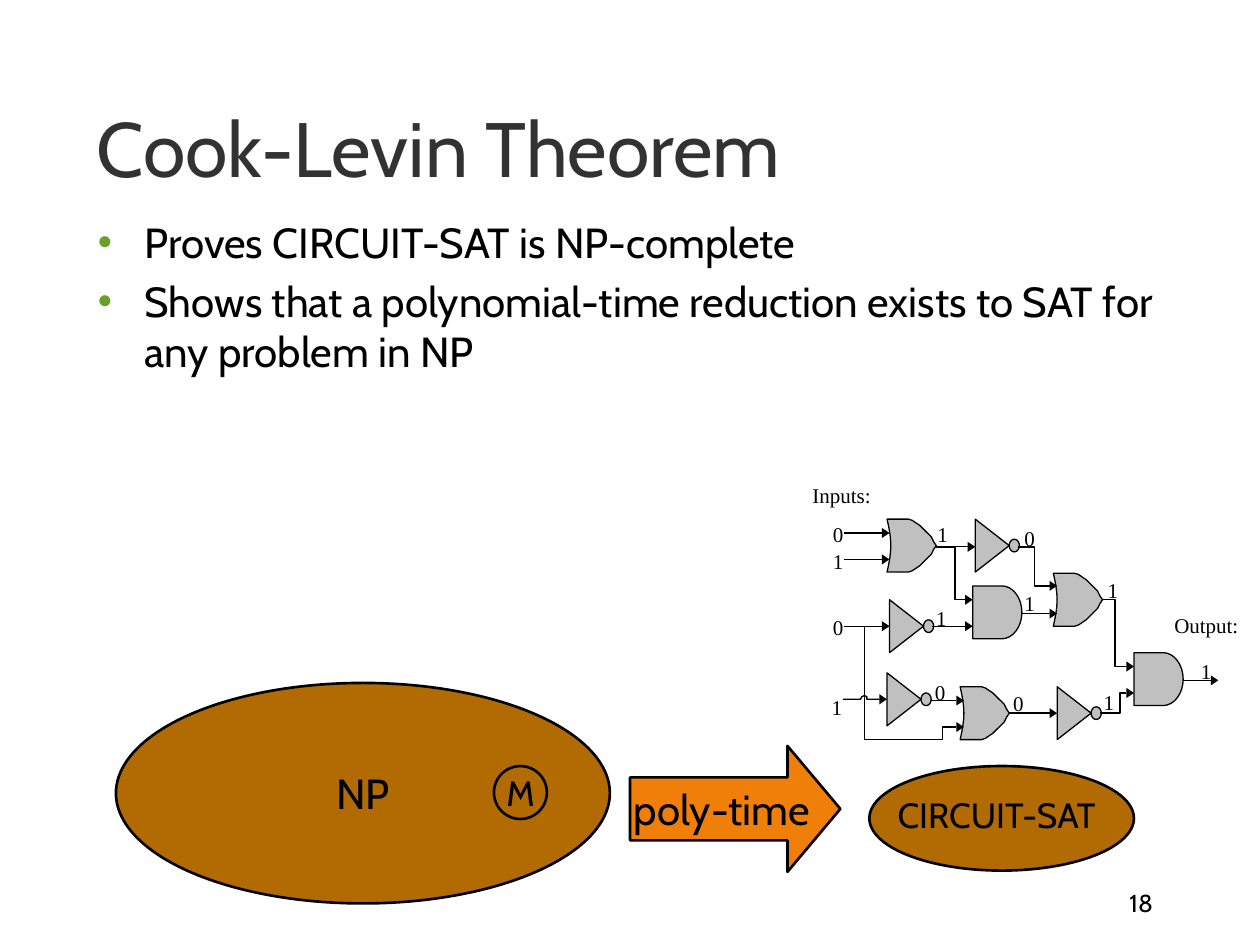
import math

from lxml import etree
from pptx import Presentation
from pptx import util as u
from pptx.dml.color import RGBColor
from pptx.enum import shapes, text
from pptx.oxml import ns

BLACK = RGBColor(0x00, 0x00, 0x00)
WHITE = RGBColor(0xFF, 0xFF, 0xFF)
TITLE_GRAY = RGBColor(0x32, 0x32, 0x32)
GATE_GRAY = RGBColor(0xC0, 0xC0, 0xC0)
BROWN = RGBColor(0xB2, 0x6B, 0x02)
ORANGE = RGBColor(0xF0, 0x7F, 0x09)
BULLET_GREEN = "6B9F25"

GATE_HEIGHT = 0.42
HEAD_LENGTH, HEAD_HALF = 0.06, 0.04
LEFT, CENTER, RIGHT = (text.PP_ALIGN.LEFT, text.PP_ALIGN.CENTER, text.PP_ALIGN.RIGHT)
TOP, MIDDLE, BOTTOM = (text.MSO_ANCHOR.TOP, text.MSO_ANCHOR.MIDDLE, text.MSO_ANCHOR.BOTTOM)

# Gates: left and top of each
OR_GATES = [(7.04, 4.12), (8.36, 4.55), (7.62, 5.45)]
AND_GATES = [(7.72, 4.65), (9, 5.18)]
NOT_GATES = [(7.06, 4.76), (7.74, 4.12), (8.39, 5.45), (7.04, 5.34)]

# Wires: corner points, ending at the tip of the arrowhead
WIRES = [
    [(6.7, 4.23), (7.06, 4.23)],
    [(6.7, 4.44), (7.06, 4.44)],
    [(6.7, 4.97), (7.06, 4.97)],
    [(7.4, 4.97), (7.72, 4.97)],
    [(7.43, 4.34), (7.58, 4.34), (7.58, 4.76), (7.72, 4.76)],
    [(7.58, 4.34), (7.74, 4.34)],
    [(8.11, 4.87), (8.39, 4.87)],
    [(9.39, 5.4), (9.67, 5.4)],
    [(6.86, 4.97), (6.86, 5.87), (7.48, 5.87), (7.48, 5.77), (7.65, 5.77)],
    [(8.08, 4.34), (8.21, 4.34), (8.21, 4.65), (8.39, 4.65)],
    [(8.75, 4.76), (8.85, 4.76), (8.85, 5.29), (9, 5.29)],
    [(8.73, 5.66), (8.89, 5.66), (8.89, 5.5), (9, 5.5)],
    [(8.01, 5.66), (8.39, 5.66)],
    [(7.39, 5.56), (7.65, 5.56)],
    # This one hops over the vertical wire
    [(6.69, 5.55), (6.83, 5.55), (6.84, 5.53), (6.86, 5.52), (6.88, 5.53),
     (6.88, 5.55), (7.04, 5.55)],
]

# Signal values: digit, left, top
SIGNALS = [
    ("0", 6.61, 4.14), ("1", 6.61, 4.35), ("0", 6.61, 4.88), ("1", 6.6, 5.51),
    ("1", 7.44, 4.14), ("1", 7.43, 4.81), ("0", 7.42, 5.39), ("0", 8.13, 4.17),
    ("1", 8.13, 4.69), ("0", 8.04, 5.48), ("1", 8.79, 4.58), ("1", 8.76, 5.47),
    ("1", 9.53, 5.23),
]


def set_format(target, values):
    for name, value in values.items():
        setattr(target, name, value)


def write(shape, words, size, color=BLACK, name="Cabin", align=CENTER,
          anchor=TOP, wrap=False, margin=None):
    frame = shape.text_frame
    set_format(frame, {"word_wrap": wrap, "vertical_anchor": anchor})
    if margin is not None:
        sides = ("left", "right", "top", "bottom")
        set_format(frame, {f"margin_{side}": u.Inches(margin) for side in sides})
    paragraph = frame.paragraphs[0]
    paragraph.alignment = align
    run = paragraph.add_run()
    run.text = words
    set_format(run.font, {"name": name, "size": u.Pt(size)})
    run.font.color.rgb = color


def add_text(slide, box, words, size, wrap=False, **options):
    shape = slide.shapes.add_textbox(*map(u.Inches, box))
    write(shape, words, size, wrap=wrap, **options)
    if not wrap:
        shape.text_frame.auto_size = text.MSO_AUTO_SIZE.SHAPE_TO_FIT_TEXT


def add_bullets(slide, box, items):
    frame = slide.shapes.add_textbox(*map(u.Inches, box)).text_frame
    frame.word_wrap = True
    for index, item in enumerate(items):
        paragraph = frame.add_paragraph() if index else frame.paragraphs[0]
        properties = paragraph._p.get_or_add_pPr()
        properties.set("marL", str(u.Inches(0.38)))
        properties.set("indent", str(u.Inches(-0.38)))
        if index:
            paragraph.space_before = u.Pt(4.8)
        color = etree.SubElement(properties, ns.qn("a:buClr"))
        etree.SubElement(color, ns.qn("a:srgbClr"), val=BULLET_GREEN)
        etree.SubElement(properties, ns.qn("a:buSzPct"), val="110000")
        etree.SubElement(properties, ns.qn("a:buFont"), typeface="Times New Roman")
        etree.SubElement(properties, ns.qn("a:buChar"), char="•")
        run = paragraph.add_run()
        run.text = item
        set_format(run.font, {"name": "Cabin", "size": u.Pt(24)})
        run.font.color.rgb = BLACK


def paint(shape, fill, line_width):
    shape.shadow.inherit = False
    if fill is None:
        shape.fill.background()
    else:
        shape.fill.solid()
        shape.fill.fore_color.rgb = fill
    if line_width:
        shape.line.color.rgb = BLACK
        shape.line.width = u.Pt(line_width)
    else:
        shape.line.fill.background()


def add_preset(slide, kind, box, fill=None):
    shape = slide.shapes.add_shape(kind, *map(u.Inches, box))
    paint(shape, fill, 1.5)
    return shape


def add_outline(slide, points, fill=None, line_width=0.75, close=True):
    points = [(u.Inches(x), u.Inches(y)) for x, y in points]
    builder = slide.shapes.build_freeform(*points[0])
    builder.add_line_segments(points[1:], close=close)
    paint(builder.convert_to_shape(), fill, line_width)


def add_wire(slide, points):
    tip_x, tip_y = points[-1]
    base_x = tip_x - HEAD_LENGTH
    points = points[:-1] + [(base_x, tip_y)]
    if len(points) == 2:
        ends = [u.Inches(value) for point in points for value in point]
        line = slide.shapes.add_connector(shapes.MSO_CONNECTOR.STRAIGHT, *ends)
        line.line.color.rgb = BLACK
        line.line.width = u.Pt(0.75)
        etree.SubElement(line._element.spPr, ns.qn("a:effectLst"))
    else:
        add_outline(slide, points, close=False)
    head = [(base_x, tip_y - HEAD_HALF), (tip_x, tip_y), (base_x, tip_y + HEAD_HALF)]
    add_outline(slide, head, BLACK, line_width=0)


def arc(center_x, radius_x, radius_y, start, end, steps):
    """Points on an ellipse at half gate height, angles in degrees."""
    angles = [math.radians(start + (end - start) * i / steps) for i in range(steps + 1)]
    return [(center_x + radius_x * math.cos(a), GATE_HEIGHT / 2 + radius_y * math.sin(a))
            for a in angles]


def and_outline():
    return [(0, 0)] + arc(0.23, 0.16, GATE_HEIGHT / 2, -90, 90, 16) + [(0, GATE_HEIGHT)]


def or_outline():
    upper = [(0.17, 0), (0.2, 0.01), (0.23, 0.03), (0.26, 0.05), (0.29, 0.08),
             (0.32, 0.11), (0.35, 0.14), (0.37, 0.18), (0.39, GATE_HEIGHT / 2)]
    lower = [(x, GATE_HEIGHT - y) for x, y in reversed(upper[:-1])]
    back = [(0.03 * math.sin(math.pi * i / 8), GATE_HEIGHT * i / 8) for i in range(8, -1, -1)]
    return upper + lower + back


def not_outline():
    return arc(0.31, 0.04, 0.05, 180, -180, 20) + [(0, 0), (0, GATE_HEIGHT)]


def add_circuit(slide):
    gates = [(OR_GATES, or_outline()), (AND_GATES, and_outline()), (NOT_GATES, not_outline())]
    for places, outline in gates:
        for left, top in places:
            add_outline(slide, [(left + x, top + y) for x, y in outline], GATE_GRAY)
    for wire in WIRES:
        add_wire(slide, wire)
    labels = [(words, left, top, 0.08) for words, left, top in SIGNALS]
    labels += [("Inputs:", 6.43, 3.83, 0.5), ("Output:", 9.31, 4.86, 0.53)]
    for words, left, top, width in labels:
        add_text(slide, (left, top, width, 0.2), words, 12, name="Times New Roman", margin=0)


def main():
    presentation = Presentation()
    presentation.slide_width, presentation.slide_height = u.Inches(10), u.Inches(7.5)
    slide = presentation.slides.add_slide(presentation.slide_layouts[6])
    slide.background.fill.solid()
    slide.background.fill.fore_color.rgb = WHITE

    # Slide number, title and bullets
    add_text(slide, (7.17, 6.83, 2.08, 0.5), "18", 14, align=RIGHT, anchor=BOTTOM, wrap=True)
    add_text(slide, (0.67, 0.33, 8.5, 1.25), "Cook-Levin Theorem", 44, color=TITLE_GRAY,
             align=LEFT, anchor=BOTTOM, wrap=True)
    add_bullets(slide, (0.67, 1.67, 8.92, 4.5), [
        "Proves CIRCUIT-SAT is NP-complete",
        "Shows that a polynomial-time reduction exists to SAT for any problem in NP",
    ])

    # Reduction from NP to CIRCUIT-SAT
    oval = shapes.MSO_SHAPE.OVAL
    add_preset(slide, oval, (6.9, 6.08, 2.1, 0.83), BROWN)
    problems = add_preset(slide, oval, (0.92, 5.42, 3.92, 1.75), BROWN)
    write(problems, "NP", 24, anchor=MIDDLE)
    arrow = add_preset(slide, shapes.MSO_SHAPE.RIGHT_ARROW, (5, 5.92, 1.67, 1), ORANGE)
    arrow.adjustments[1] = 0.42
    write(arrow, "poly-time", 24, anchor=MIDDLE)
    add_text(slide, (6.99, 6.25, 1.84, 0.43), "CIRCUIT-SAT", 20)
    add_preset(slide, oval, (3.92, 6.08, 0.42, 0.42))
    add_text(slide, (3.92, 6.07, 0.41, 0.43), "M", 20)

    # Logic circuit
    add_circuit(slide)
    presentation.save("out.pptx")


if __name__ == "__main__":
    main()
